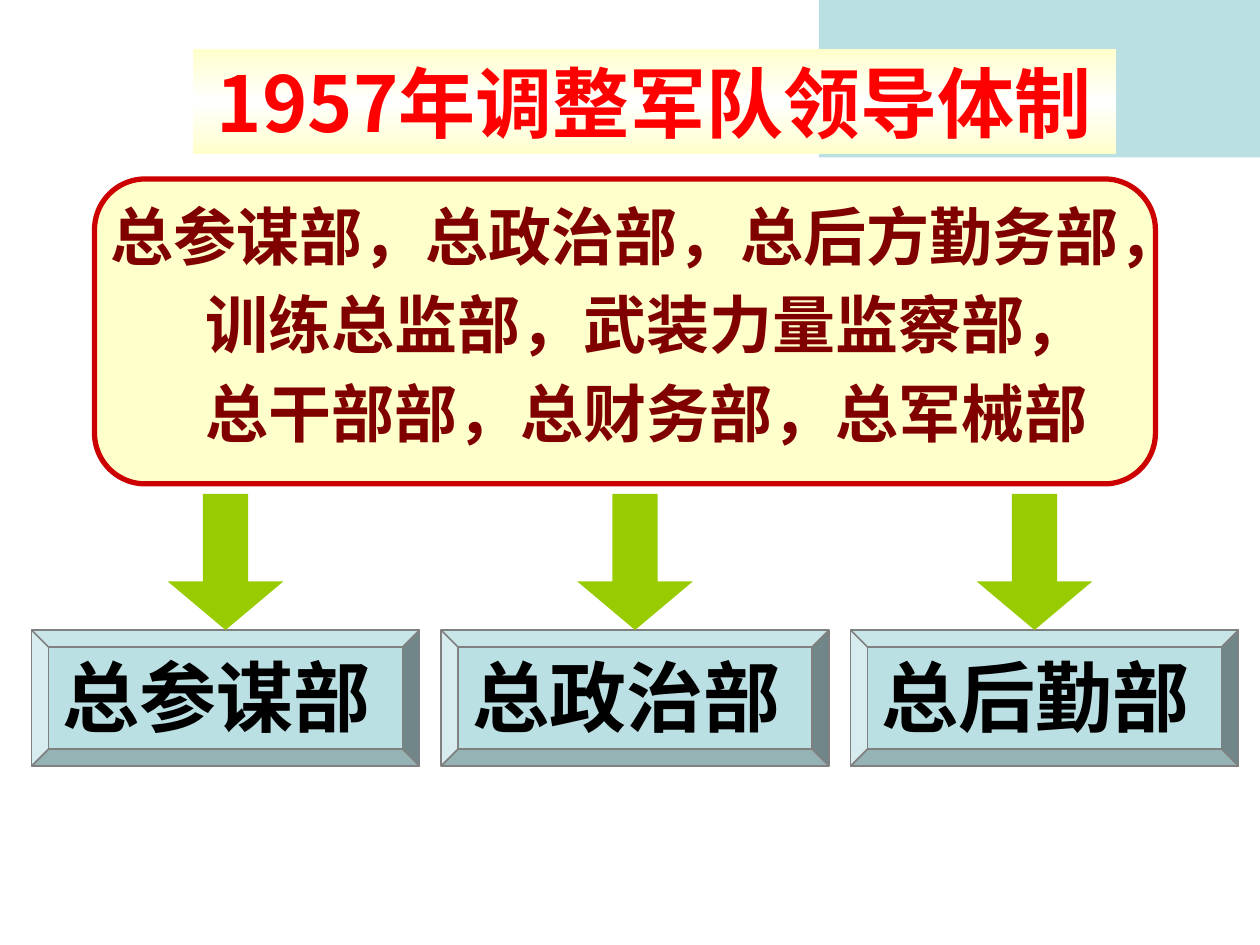
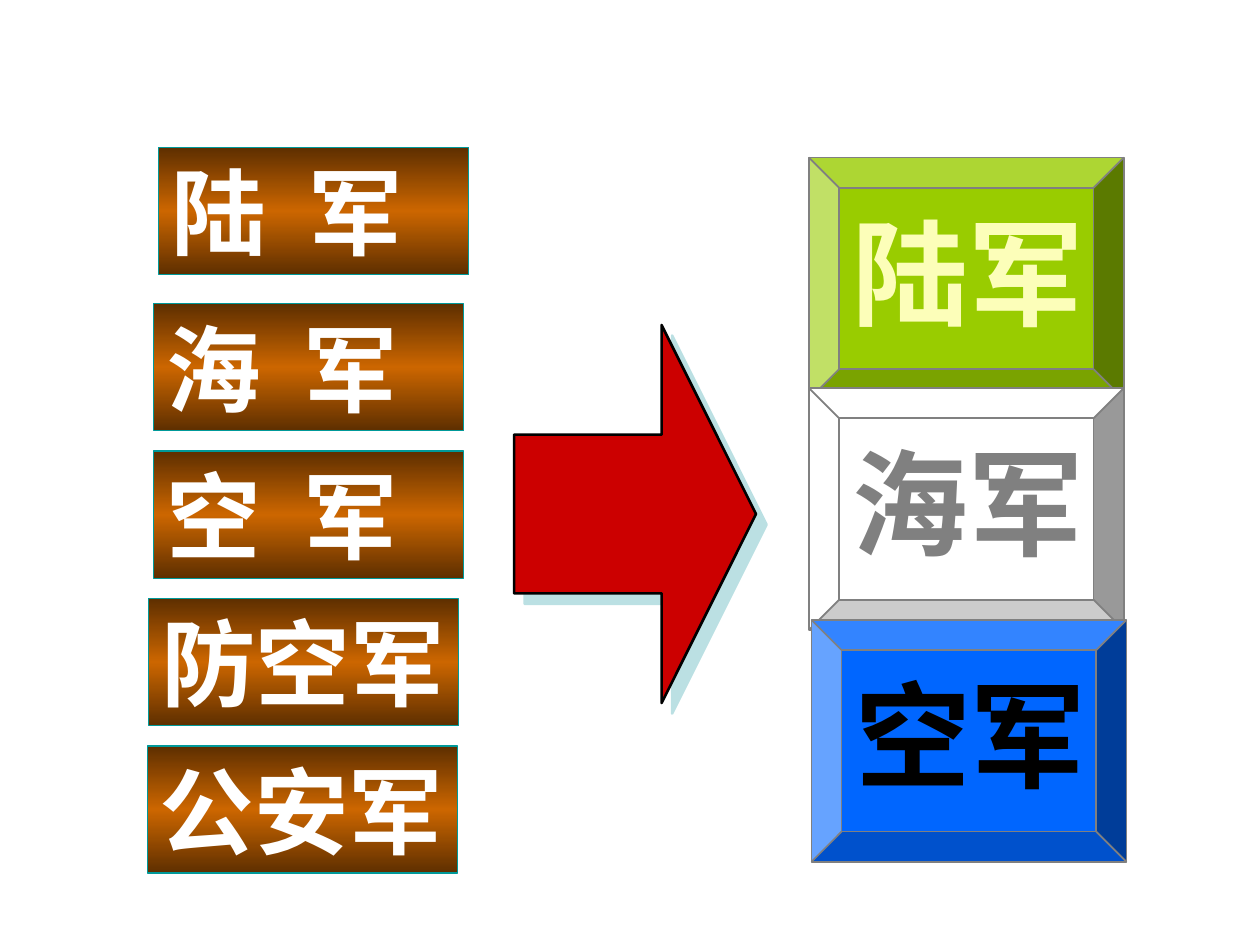
from copy import deepcopy

from lxml import etree
from pptx import Presentation
from pptx.dml.color import RGBColor
from pptx.enum.shapes import MSO_SHAPE as Shape
from pptx.enum.text import MSO_ANCHOR as Anchor, PP_ALIGN as Align
from pptx.oxml.ns import qn
from pptx.util import Inches, Pt

WIDTH, HEIGHT = 10, 7.5
SANS, SERIF = "Noto Sans CJK SC", "Times New Roman"
PALE_BLUE, CREAM, GREEN, RED = "BBE0E3", "FFFFCC", "99CC00", "CC0000"
WHITE, BLACK, GREY = "FFFFFF", "000000", "808080"
CREAM_GRADIENT = (CREAM, WHITE, CREAM)
BROWN_GRADIENT = ("5E2F00", "CC6600", "5E2F00")

TITLE = "1957年调整军队领导体制"
OLD_DEPARTMENTS = [
    "总参谋部，总政治部，总后方勤务部，",
    "训练总监部，武装力量监察部，",
    "总干部部，总财务部，总军械部",
]
NEW_DEPARTMENTS = ["总参谋部", "总政治部", "总后勤部"]
ARROW_LEFTS = [1.25, 4.5, 7.67]

# name, left, top, letter spacing in points
OLD_SERVICES = [
    ("陆 军", 1.26, 1.17, 6.2),
    ("海 军", 1.22, 2.41, 6.2),
    ("空 军", 1.22, 3.58, 6.2),
    ("防空军", 1.18, 4.75, 0),
    ("公安军", 1.17, 5.92, 0),
]
# name, left, top, fill, text colour
NEW_SERVICES = [
    ("陆军", 6.42, 1.25, GREEN, "FCFEB9"),
    ("海军", 6.42, 3.08, WHITE, GREY),
    ("空军", 6.44, 4.92, "0066FF", BLACK),
]


def color(hex_string):
    return RGBColor.from_string(hex_string)


def fill_gradient(shape, colors):
    """Fill from top to bottom with three evenly spaced colours."""
    shape.fill.gradient()
    shape.fill.gradient_angle = 90
    stop_list = shape.element.spPr.find(qn("a:gradFill")).find(qn("a:gsLst"))
    stop_list.append(deepcopy(stop_list[-1]))
    for index, stop in enumerate(shape.fill.gradient_stops):
        stop.position = index / 2
        stop.color.rgb = color(colors[index])


def add_box(shapes, kind, box, fill, line=None, line_width=1, adjustments=()):
    """Add a preset shape; a tuple as fill means a gradient."""
    shape = shapes.add_shape(kind, *map(Inches, box))
    shape.shadow.inherit = False
    for index, value in enumerate(adjustments):
        shape.adjustments[index] = value
    if isinstance(fill, tuple):
        fill_gradient(shape, fill)
    else:
        shape.fill.solid()
        shape.fill.fore_color.rgb = color(fill)
    if line:
        shape.line.color.rgb = color(line)
        shape.line.width = Pt(line_width)
    else:
        shape.line.fill.background()
    return shape


def write(shape, lines, *, size, ink, font=SERIF, align=Align.LEFT,
          wrap=True, gap=0, spacing=0, right_margin=0.1):
    frame = shape.text_frame
    frame.word_wrap = wrap
    frame.vertical_anchor = Anchor.MIDDLE
    frame.margin_right = Inches(right_margin)
    for index, line in enumerate(lines):
        paragraph = frame.add_paragraph() if index else frame.paragraphs[0]
        paragraph.alignment = align
        if index:
            paragraph.space_before = Pt(gap)
        run = paragraph.add_run()
        run.text = line
        run.font.size, run.font.bold, run.font.name = Pt(size), True, font
        run.font.color.rgb = color(ink)
        properties = run.font._element
        if spacing:
            properties.set("spc", str(round(spacing * 100)))
        etree.SubElement(properties, qn("a:ea")).set("typeface", SANS)


def add_text(shapes, box, lines, **text_format):
    write(shapes.add_textbox(*map(Inches, box)), lines, **text_format)


def add_bevel(shapes, name, box, fill, label_box, **text_format):
    """Add a bevelled block; label_box is relative to its top left corner."""
    add_box(shapes, Shape.BEVEL, box, fill, GREY, adjustments=[0.125])
    left, top, width, height = label_box
    add_text(shapes, (box[0] + left, box[1] + top, width, height), [name], **text_format)


def add_hard_shadow(shape, hex_string, distance):
    effects = shape.element.spPr.find(qn("a:effectLst"))
    shadow = etree.SubElement(effects, qn("a:outerShdw"), blurRad="0",
                              dist=str(Pt(distance)), dir=str(45 * 60000),
                              algn="ctr", rotWithShape="0")
    etree.SubElement(shadow, qn("a:srgbClr"), val=hex_string)


def build_departments(slide):
    shapes = slide.shapes
    add_box(shapes, Shape.RECTANGLE, (WIDTH * 0.65, 0, WIDTH * 0.35, HEIGHT / 6), PALE_BLUE)

    blocks = shapes.add_group_shape().shapes
    for column, name in enumerate(NEW_DEPARTMENTS):
        add_bevel(blocks, name, (0.25 + 3.25 * column, 5, 3.08, 1.08), PALE_BLUE,
                  (0.15, 0.11, 2.7, 0.83), size=44, ink=BLACK)

    title = add_box(shapes, Shape.RECTANGLE, (1.53, 0.39, 7.33, 0.83), CREAM_GRADIENT)
    write(title, [TITLE], size=44, ink="FF0000", font=SANS, align=Align.CENTER)

    add_box(shapes, Shape.FLOWCHART_ALTERNATE_PROCESS, (0.75, 1.42, 8.42, 2.42),
            CREAM, RED, 3)
    add_text(shapes, (0.75, 1.5, 8.76, 2.14), OLD_DEPARTMENTS, size=36, ink="800000",
             align=Align.CENTER, wrap=False, gap=7.2)

    arrows = shapes.add_group_shape().shapes
    for left in ARROW_LEFTS:
        arrow = add_box(arrows, Shape.RIGHT_ARROW, (left, 4, 1.08, 0.92), GREEN,
                        adjustments=[0.39, 0.42])
        arrow.rotation = 90


def build_services(slide):
    shapes = slide.shapes
    tiles = shapes.add_group_shape().shapes
    for name, left, top, spacing in OLD_SERVICES:
        tile = add_box(tiles, Shape.RECTANGLE, (left, top, 2.46, 1.01),
                       BROWN_GRADIENT, "009999", 0.75)
        write(tile, [name], size=54, ink=WHITE, font=SANS, spacing=spacing, right_margin=0)

    arrow = add_box(shapes, Shape.RIGHT_ARROW, (4.08, 2.58, 1.92, 3), RED, BLACK, 1.5,
                    adjustments=[0.42, 0.39])
    add_hard_shadow(arrow, PALE_BLUE, 8.5)

    for name, left, top, fill, ink in NEW_SERVICES:
        add_bevel(shapes.add_group_shape().shapes, name, (left, top, 2.5, 1.92), fill,
                  (0.25, 0.3, 2.08, 1.2), size=66, ink=ink)


def main():
    presentation = Presentation()
    presentation.slide_width, presentation.slide_height = Inches(WIDTH), Inches(HEIGHT)
    for build in (build_departments, build_services):
        build(presentation.slides.add_slide(presentation.slide_layouts[6]))
    presentation.save("out.pptx")


if __name__ == "__main__":
    main()
